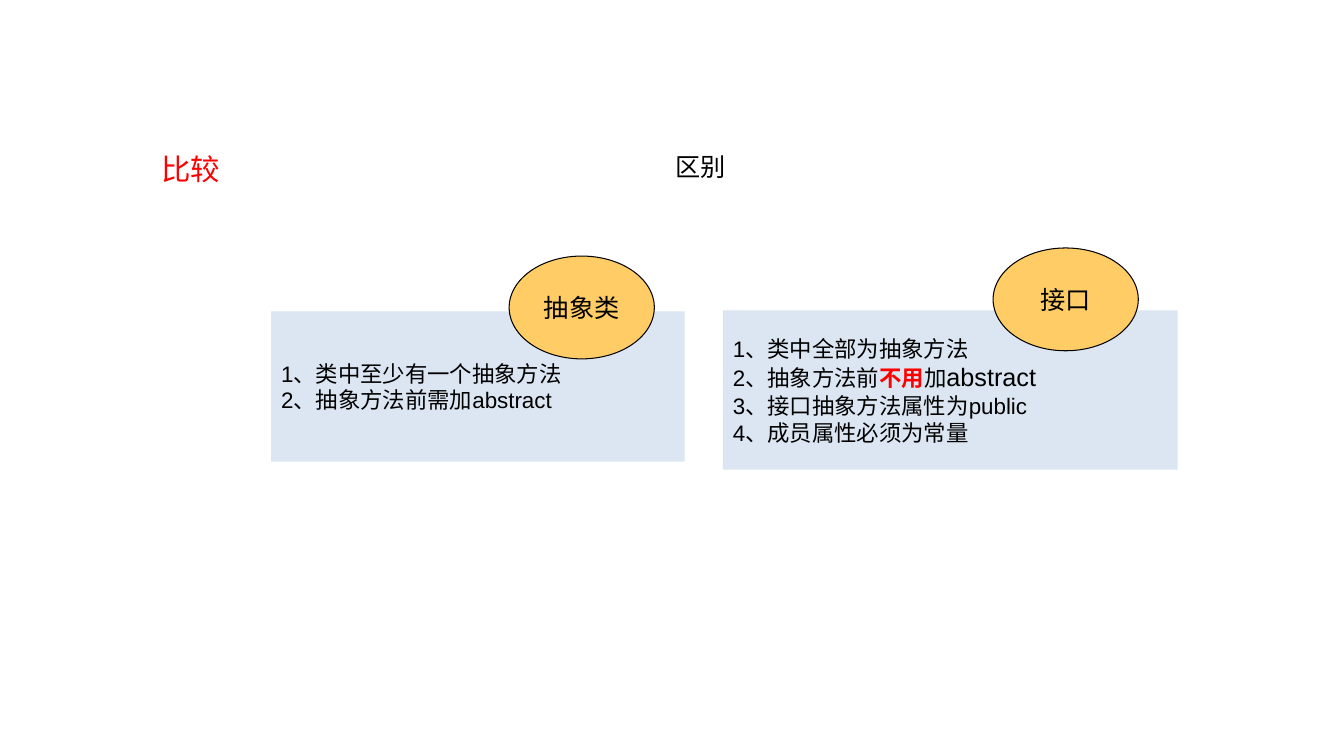
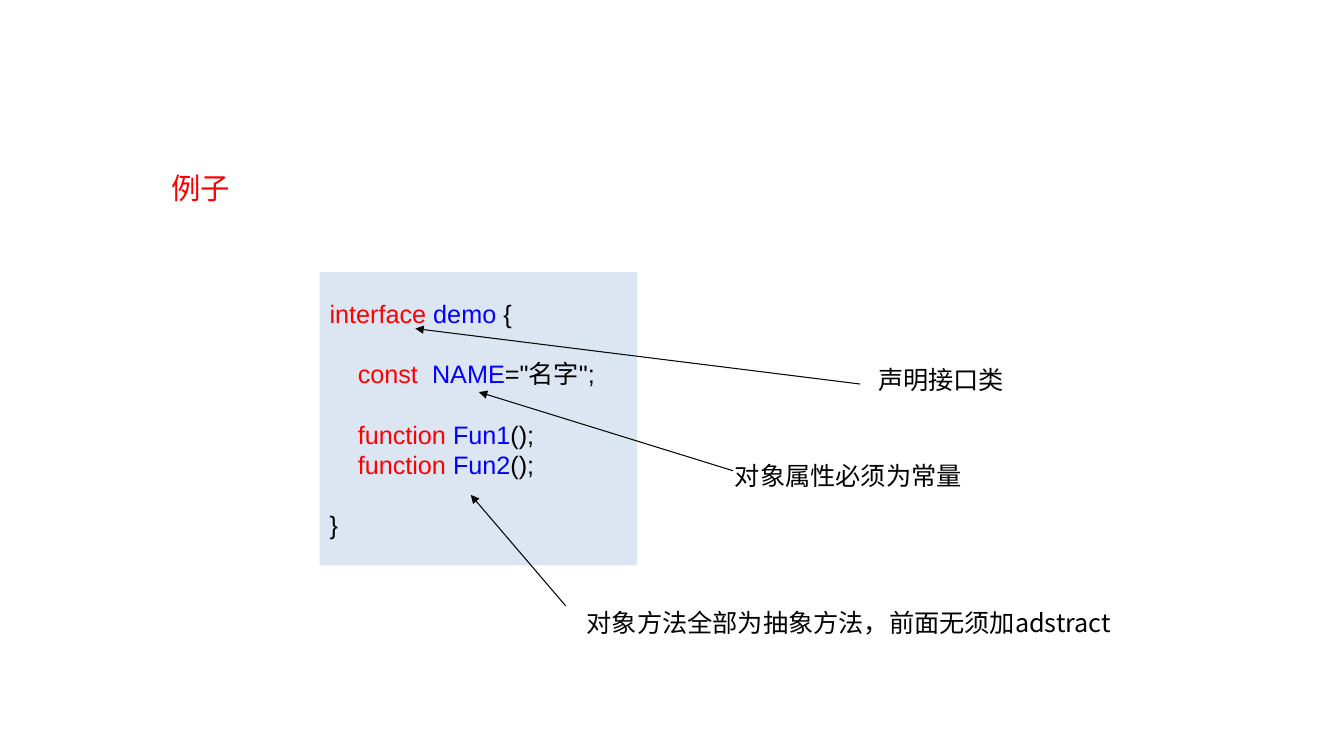
from lxml.etree import SubElement
from pptx import Presentation
from pptx.dml.color import RGBColor
from pptx.enum.shapes import MSO_CONNECTOR, MSO_SHAPE
from pptx.enum.text import MSO_ANCHOR, PP_ALIGN
from pptx.oxml.ns import qn
from pptx.util import Inches, Pt

BLACK = RGBColor(0, 0, 0)
RED = RGBColor(0xFF, 0, 0)
BLUE = RGBColor(0, 0, 0xFF)
PANEL = RGBColor(0xDC, 0xE6, 0xF2)
ORANGE = RGBColor(0xFF, 0xCC, 0x66)
LATIN = "Arial"
CJK = "Noto Sans CJK SC"
CODE_INDENT = Inches(0.28)
CODE_GAP = Pt(21.6)


def style(font, size=None, color=None, name=None, bold=None):
    """Apply the given font settings."""
    if size:
        font.size = Pt(size)
    if color is not None:
        font.color.rgb = color
    if name:
        font.name = name
    if bold is not None:
        font.bold = bold


def write_lines(frame, lines, size, name=LATIN, color=BLACK, align=PP_ALIGN.LEFT):
    """Fill a frame; a line is a string or a list of (text, overrides)."""
    for index, line in enumerate(lines):
        paragraph = frame.paragraphs[0] if index == 0 else frame.add_paragraph()
        paragraph.alignment = align
        style(paragraph.font, size, color, name)
        for text, overrides in [(line, {})] if isinstance(line, str) else line:
            run = paragraph.add_run()
            run.text = text
            style(run.font, **overrides)


def add_label(slide, box, text, size=18, name=CJK, color=BLACK, wrap=True):
    """Add a text box and return its frame."""
    frame = slide.shapes.add_textbox(*map(Inches, box)).text_frame
    frame.word_wrap = wrap
    write_lines(frame, [text], size, name, color)
    return frame


def add_heading(slide, box, text):
    """Add the red slide heading."""
    frame = add_label(slide, box, text, 21, color=RED)
    frame.margin_left = frame.margin_right = 0
    frame.margin_top = frame.margin_bottom = 0


def add_filled(slide, preset, box, fill):
    """Add a flat shape with vertically centred text."""
    shape = slide.shapes.add_shape(preset, *map(Inches, box))
    shape.shadow.inherit = False
    shape.fill.solid()
    shape.fill.fore_color.rgb = fill
    shape.line.fill.background()
    shape.text_frame.vertical_anchor = MSO_ANCHOR.MIDDLE
    return shape


def add_panel(slide, box, lines, size):
    """Add a pale panel of left-aligned lines and return its frame."""
    frame = add_filled(slide, MSO_SHAPE.RECTANGLE, box, PANEL).text_frame
    frame.word_wrap = True
    write_lines(frame, lines, size)
    return frame


def add_badge(slide, box, text):
    """Add an outlined orange ellipse naming a panel."""
    badge = add_filled(slide, MSO_SHAPE.OVAL, box, ORANGE)
    badge.line.color.rgb = BLACK
    badge.line.width = Pt(0.75)
    badge.text_frame.word_wrap = False
    write_lines(badge.text_frame, [text], 18, align=PP_ALIGN.CENTER)


def add_arrow(slide, start, end):
    """Add a thin black arrow pointing at end."""
    arrow = slide.shapes.add_connector(
        MSO_CONNECTOR.STRAIGHT, *map(Inches, (*start, *end)))
    arrow.line.color.rgb = BLACK
    arrow.line.width = Pt(0.75)
    SubElement(arrow.line._get_or_add_ln(), qn("a:tailEnd"), type="triangle")
    SubElement(arrow._element.spPr, qn("a:effectLst"))


def code_line(keyword, name, rest):
    """Return a code line with coloured keyword and name."""
    return [(keyword, {"color": RED}), (name, {"color": BLUE}), (rest, {})]


def build_comparison(slide):
    """Compare abstract classes with interfaces."""
    add_heading(slide, (1.6, 1.5, 0.84, 0.35), "比较")
    add_panel(slide, (7.17, 3.08, 4.51, 1.58), [
        "1、类中全部为抽象方法",
        [("2、抽象方法前", {}), ("不用", {"color": RED, "bold": True}),
         ("加", {}), ("abstract", {"size": 18})],
        "3、接口抽象方法属性为public",
        "4、成员属性必须为常量",
    ], 16)
    add_panel(slide, (2.69, 3.09, 4.1, 1.49), [
        "1、类中至少有一个抽象方法",
        "2、抽象方法前需加abstract",
    ], 16)
    add_badge(slide, (5.05, 2.54, 1.44, 1.02), "抽象类")
    add_badge(slide, (9.85, 2.46, 1.44, 1.02), "接口")
    add_label(slide, (6.6, 1.45, 0.91, 0.4), "区别", name=LATIN)


def build_example(slide):
    """Show an annotated interface declaration."""
    add_heading(slide, (1.7, 1.69, 1.57, 0.35), "例子")
    code = add_panel(slide, (3.17, 2.7, 3.15, 2.91), [
        code_line("interface ", "demo ", "{"),
        code_line("const  ", "NAME", '="名字";'),
        code_line("function ", "Fun1", "();"),
        code_line("function ", "Fun2", "();"),
        "}",
    ], 18)
    declaration, constant, first, second, closing = code.paragraphs
    for member in (constant, first, second):
        member._p.get_or_add_pPr().set("marL", str(CODE_INDENT))
    for block_start in (constant, first, closing):
        block_start.space_before = CODE_GAP

    notes = [
        ("声明接口类", (8.61, 3.57, 1.45, 0.4), False, (8.53, 3.81), (4.12, 3.26)),
        ("对象属性必须为常量", (7.19, 4.52, 2.45, 0.4), False,
         (7.27, 4.67), (4.75, 3.89)),
        ("对象方法全部为抽象方法，前面无须加adstract", (5.72, 5.98, 5.41, 0.4), True,
         (5.61, 6.01), (4.67, 4.91)),
    ]
    for text, box, wrap, start, end in notes:
        add_arrow(slide, start, end)
        add_label(slide, box, text, wrap=wrap)


def main():
    """Build and save the presentation."""
    deck = Presentation()
    deck.slide_width, deck.slide_height = Inches(13.33), Inches(7.5)
    for build in (build_comparison, build_example):
        build(deck.slides.add_slide(deck.slide_layouts[6]))
    deck.save("out.pptx")


main()
